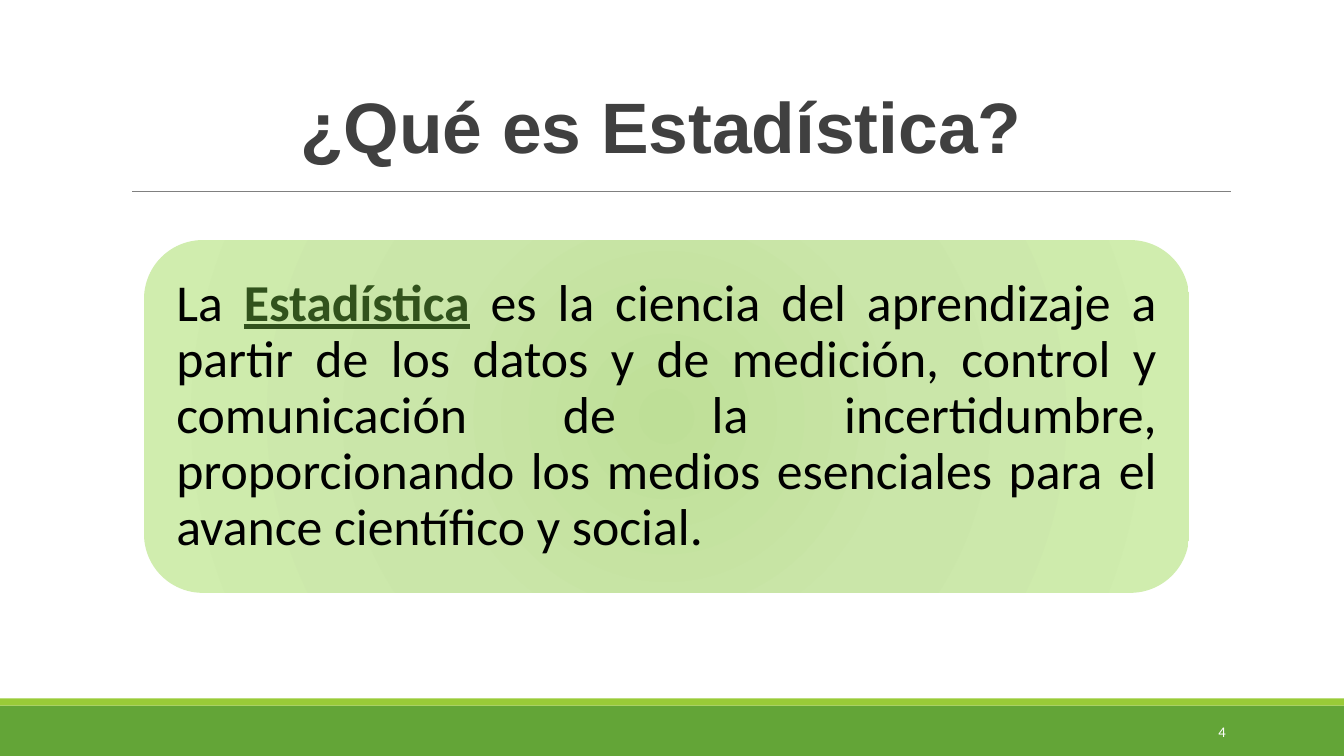
from lxml import etree
from pptx import Presentation
from pptx.dml.color import RGBColor
from pptx.enum import shapes, text
from pptx.oxml import ns
from pptx.util import Cm, Pt

GREEN = RGBColor(0x63, 0xA5, 0x37)
LIME = RGBColor(0x99, 0xCB, 0x38)
DARK_GREEN = RGBColor(0x31, 0x52, 0x1C)
GRAY = RGBColor(0x80, 0x80, 0x80)
CHARCOAL = RGBColor(0x40, 0x40, 0x40)
BLACK = RGBColor(0, 0, 0)
WHITE = RGBColor(0xFF, 0xFF, 0xFF)
CARD_STOPS = [(0, RGBColor(0xBE, 0xDF, 0x97)),
              (45, RGBColor(0xCA, 0xE6, 0xA9)),
              (100, RGBColor(0xD0, 0xED, 0xAE))]
SLIDE_WIDTH, SLIDE_HEIGHT = Cm(33.87), Cm(19.05)


def style_run(run, font, size, color, bold=False):
    run.font.name = font
    run.font.size = Pt(size)
    run.font.color.rgb = color
    run.font.bold = bold


def add_block(slide, kind, left, top, width, height):
    block = slide.shapes.add_shape(kind, left, top, width, height)
    block.shadow.inherit = False
    block.line.fill.background()
    return block


def add_band(slide, top, height, color):
    band = add_block(slide, shapes.MSO_SHAPE.RECTANGLE, 0, top, SLIDE_WIDTH, height)
    band.fill.solid()
    band.fill.fore_color.rgb = color


def add_rule(slide, left, right, y):
    rule = slide.shapes.add_connector(shapes.MSO_CONNECTOR.STRAIGHT, left, y, right, y)
    rule.line.color.rgb = GRAY
    rule.line.width = Pt(0.5)
    etree.SubElement(rule._element.spPr, ns.qn("a:effectLst"))


def set_heading(slide, words):
    heading = slide.shapes.title
    heading.left, heading.top = Cm(3.58), Cm(2.18)
    heading.width, heading.height = Cm(25.76), Cm(2.26)
    frame = heading.text_frame
    frame.text = words
    frame.auto_size = text.MSO_AUTO_SIZE.NONE
    frame.vertical_anchor = text.MSO_ANCHOR.TOP
    frame.margin_left, frame.margin_right = Cm(0.4), 0
    line = frame.paragraphs[0]
    line.alignment = text.PP_ALIGN.CENTER
    line.line_spacing = 0.9
    line.space_before, line.space_after = Pt(12), Pt(2)
    style_run(line.runs[0], "Arial", 51, CHARCOAL, bold=True)


def fill_radial(shape, stops):
    """Fill the shape with a circular gradient, first stop innermost."""
    shape.fill.gradient()
    gradient = shape._element.spPr.find(ns.qn("a:gradFill"))
    for child in list(gradient):
        gradient.remove(child)
    stop_list = etree.SubElement(gradient, ns.qn("a:gsLst"))
    for percent, color in stops:
        stop = etree.SubElement(stop_list, ns.qn("a:gs"), pos=str(percent * 1000))
        etree.SubElement(stop, ns.qn("a:srgbClr"), val=str(color))
    circle = etree.SubElement(gradient, ns.qn("a:path"), path="circle")
    etree.SubElement(circle, ns.qn("a:fillToRect"),
                     {side: "100000" for side in "ltrb"})


def add_definition(slide, before, term, after):
    card = add_block(slide, shapes.MSO_SHAPE.ROUNDED_RECTANGLE,
                     Cm(3.63), Cm(6.05), Cm(26.34), Cm(8.89))
    fill_radial(card, CARD_STOPS)
    frame = card.text_frame
    frame.word_wrap = True
    frame.vertical_anchor = text.MSO_ANCHOR.MIDDLE
    frame.margin_left = frame.margin_right = Cm(0.38)
    frame.margin_top = frame.margin_bottom = Cm(0.38)
    sentence = frame.paragraphs[0]
    sentence.alignment = text.PP_ALIGN.JUSTIFY
    sentence.line_spacing = 0.9
    for words in (before, term, after):
        run = sentence.add_run()
        run.text = words
        is_term = words == term
        style_run(run, "Calibri", 37, DARK_GREEN if is_term else BLACK, is_term)
        run.font.underline = is_term


def add_page_number(slide, number):
    corner = slide.shapes.add_textbox(Cm(27.51), Cm(17.93), Cm(3.63), Cm(1.02))
    frame = corner.text_frame
    frame.text = number
    frame.word_wrap = True
    frame.vertical_anchor = text.MSO_ANCHOR.MIDDLE
    frame.paragraphs[0].alignment = text.PP_ALIGN.RIGHT
    style_run(frame.paragraphs[0].runs[0], "Calibri", 10.5, WHITE)


def main():
    deck = Presentation()
    deck.slide_width, deck.slide_height = SLIDE_WIDTH, SLIDE_HEIGHT
    slide = deck.slides.add_slide(deck.slide_layouts[5])

    # Footer bands and page number
    add_band(slide, Cm(17.78), Cm(1.27), GREEN)
    add_band(slide, Cm(17.6), Cm(0.18), LIME)
    add_page_number(slide, "4")

    # Heading with its rule
    set_heading(slide, "¿Qué es Estadística?")
    add_rule(slide, Cm(3.33), Cm(31.01), Cm(4.83))

    # Definition card
    add_definition(slide, "La ", "Estadística",
                   " es la ciencia del aprendizaje a partir de los datos y de "
                   "medición, control y comunicación de la incertidumbre, "
                   "proporcionando los medios esenciales para el avance "
                   "científico y social.")

    deck.save("out.pptx")


if __name__ == "__main__":
    main()
